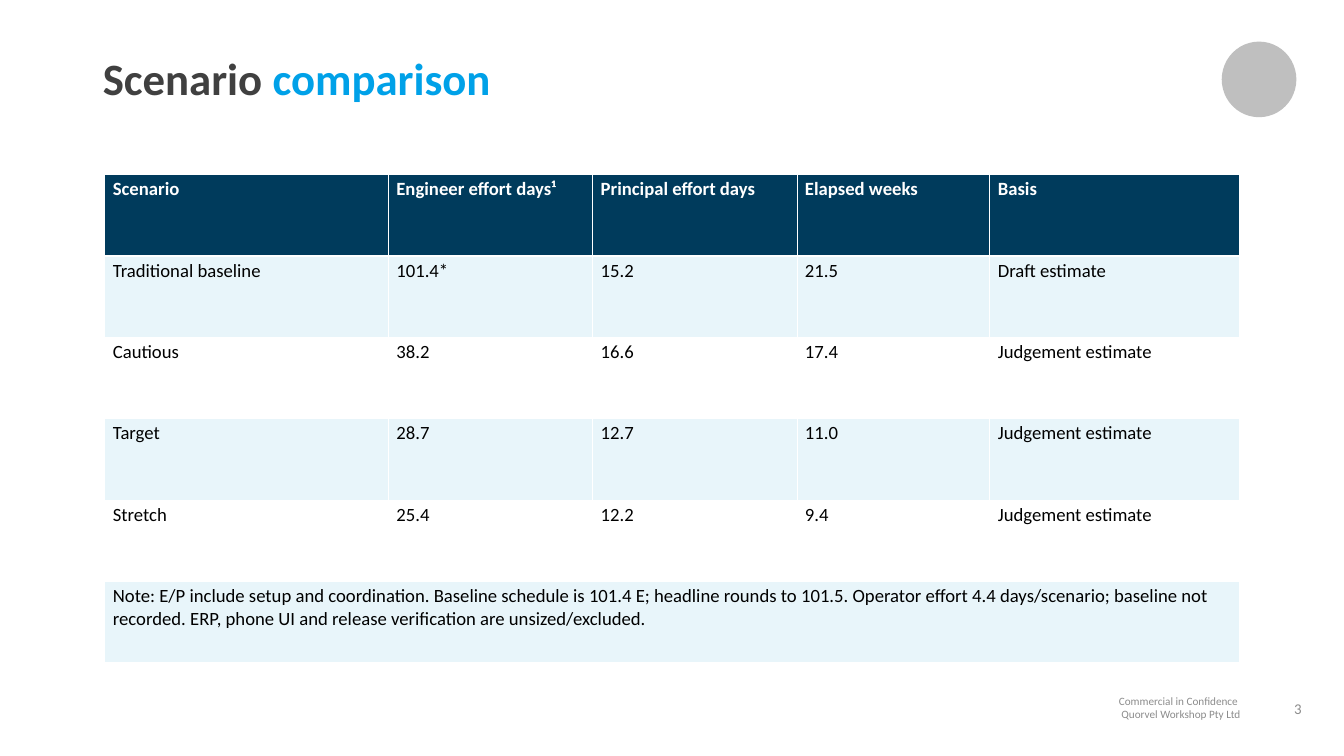
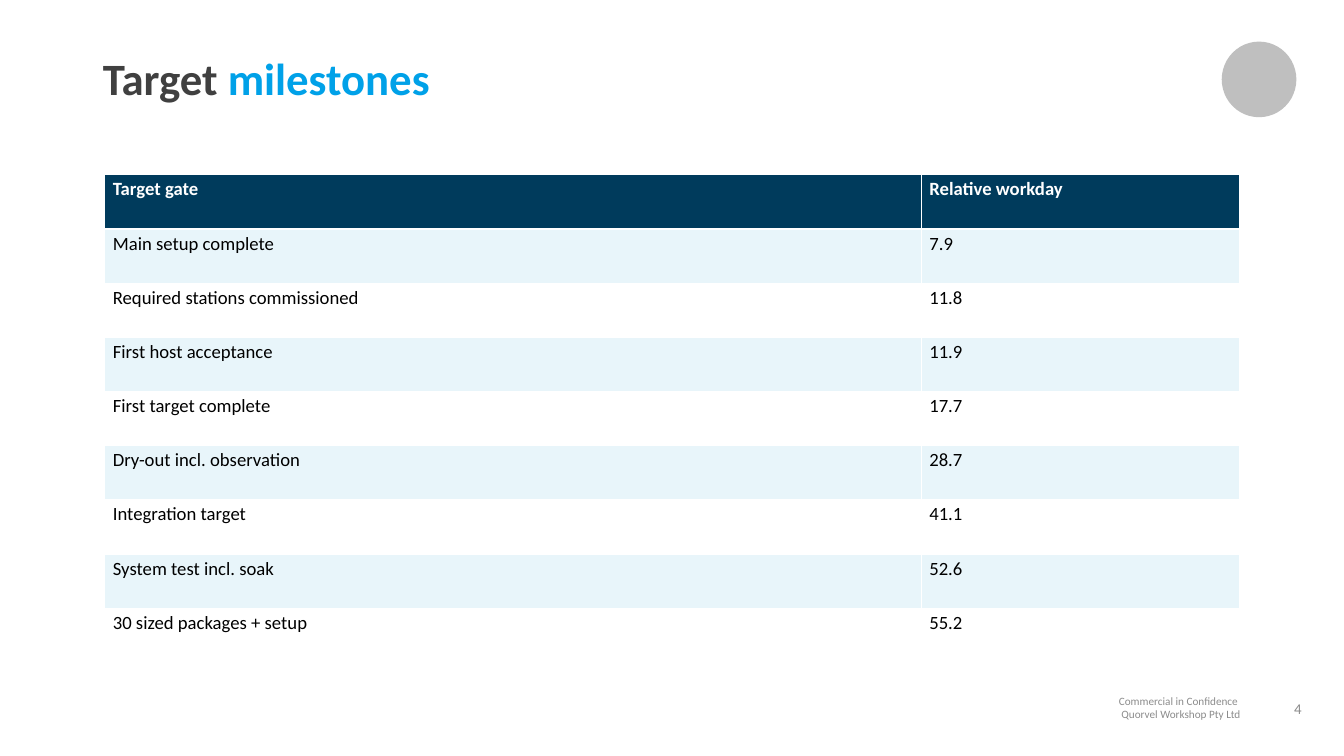
"""Build the scenario comparison and target milestones slides."""
from lxml.etree import SubElement
from pptx import Presentation
from pptx.dml.color import RGBColor
from pptx.enum.shapes import MSO_SHAPE
from pptx.enum.text import MSO_ANCHOR, PP_ALIGN
from pptx.oxml.ns import qn
from pptx.util import Pt

COLORS = {
    "title": "404040", "accent": "00A1E8", "header": "003B5C", "band": "E8F5FA",
    "white": "FFFFFF", "body": "000000", "footer": "8C8C8C", "badge": "BFBFBF",
}
FONT = "Calibri"
FOOTER = ["Commercial in Confidence ", "Quorvel Workshop Pty Ltd"]
TABLE_LEFT, TABLE_TOP, TABLE_HEIGHT = 112.3, 187.2, 522.7
FOOTER_TOP, FOOTER_HEIGHT = 742.3, 31.7
FOOTER_MARGINS = (10.8, 5)
CELL_MARGINS = (8.64, 3.6)

SLIDES = [
    {
        "number": 3,
        "title": ("Scenario ", "comparison"),
        "widths": [303.8, 218.9, 218.9, 206.6, 267.1],
        "rows": [
            ("Scenario", "Engineer effort days¹", "Principal effort days", "Elapsed weeks", "Basis"),
            ("Traditional baseline", "101.4*", "15.2", "21.5", "Draft estimate"),
            ("Cautious", "38.2", "16.6", "17.4", "Judgement estimate"),
            ("Target", "28.7", "12.7", "11.0", "Judgement estimate"),
            ("Stretch", "25.4", "12.2", "9.4", "Judgement estimate"),
            ("Note: E/P include setup and coordination. Baseline schedule is 101.4 E; "
             "headline rounds to 101.5. Operator effort 4.4 days/scenario; baseline not "
             "recorded. ERP, phone UI and release verification are unsized/excluded.",),
        ],
    },
    {
        "number": 4,
        "title": ("Target ", "milestones"),
        "widths": [874.8, 340.5],
        "rows": [
            ("Target gate", "Relative workday"),
            ("Main setup complete", "7.9"),
            ("Required stations commissioned", "11.8"),
            ("First host acceptance", "11.9"),
            ("First target complete", "17.7"),
            ("Dry-out incl. observation", "28.7"),
            ("Integration target", "41.1"),
            ("System test incl. soak", "52.6"),
            ("30 sized packages + setup", "55.2"),
        ],
    },
]


def rgb(name):
    return RGBColor.from_string(COLORS[name])


def add_run(paragraph, text, size, color, bold=False):
    run = paragraph.add_run()
    run.text = text
    run.font.name = FONT
    run.font.size = Pt(size)
    run.font.bold = bold
    run.font.color.rgb = rgb(color)


def set_margins(target, horizontal, vertical):
    target.margin_left = target.margin_right = Pt(horizontal)
    target.margin_top = target.margin_bottom = Pt(vertical)


def add_frame(slide, left, top, width, height, margins, anchor):
    frame = slide.shapes.add_textbox(Pt(left), Pt(top), Pt(width), Pt(height)).text_frame
    frame.word_wrap = True
    frame.vertical_anchor = anchor
    set_margins(frame, *margins)
    return frame


def add_footer_lines(slide, left, width, lines, size, anchor):
    frame = add_frame(slide, left, FOOTER_TOP, width, FOOTER_HEIGHT, FOOTER_MARGINS, anchor)
    for index, line in enumerate(lines):
        paragraph = frame.add_paragraph() if index else frame.paragraphs[0]
        paragraph.alignment = PP_ALIGN.RIGHT
        add_run(paragraph, line, size, "footer")


def add_furniture(slide, title, number):
    add_footer_lines(slide, 1139, 200.9, FOOTER, 12, MSO_ANCHOR.MIDDLE)
    badge = slide.shapes.add_shape(MSO_SHAPE.OVAL, Pt(1309), Pt(44.6), Pt(80), Pt(81))
    badge.shadow.inherit = False
    badge.fill.solid()
    badge.fill.fore_color.rgb = rgb("badge")
    badge.line.fill.background()
    add_footer_lines(slide, 1293.8, 111.6, [str(number)], 16, MSO_ANCHOR.BOTTOM)
    heading = add_frame(slide, 110.2, 56.9, 1188, 71.3, (0, 0), MSO_ANCHOR.TOP).paragraphs[0]
    heading.line_spacing = Pt(55)
    for text, color in zip(title, ("title", "accent")):
        add_run(heading, text, 48, color, True)


def set_borders(cell, row):
    properties = cell._tc.get_or_add_tcPr()
    weights = {"lnL": 1, "lnR": 1, "lnT": 3 if row == 1 else 1, "lnB": 3 if row == 0 else 1}
    for tag, weight in weights.items():
        border = SubElement(properties, qn(f"a:{tag}"), w=str(Pt(weight)))
        fill = SubElement(border, qn("a:solidFill"))
        SubElement(fill, qn("a:srgbClr"), val=COLORS["white"])


def add_banded_table(slide, rows, widths):
    table = slide.shapes.add_table(
        len(rows), len(widths), Pt(TABLE_LEFT), Pt(TABLE_TOP),
        Pt(sum(widths)), Pt(TABLE_HEIGHT)).table
    for column, width in zip(table.columns, widths):
        column.width = Pt(width)
    for row, texts in enumerate(rows):
        table.rows[row].height = Pt(TABLE_HEIGHT / len(rows))
        header = row == 0
        background = "header" if header else "band" if row % 2 else "white"
        for column in range(len(widths)):
            cell = table.cell(row, column)
            set_margins(cell, *CELL_MARGINS)
            set_borders(cell, row)
            cell.fill.solid()
            cell.fill.fore_color.rgb = rgb(background)
        for column, text in enumerate(texts):
            add_run(table.cell(row, column).text_frame.paragraphs[0], text, 20,
                    "white" if header else "body", header)
        if len(texts) == 1:
            table.cell(row, 0).merge(table.cell(row, len(widths) - 1))


def main():
    deck = Presentation()
    deck.slide_width, deck.slide_height = Pt(1440), Pt(810)
    for content in SLIDES:
        slide = deck.slides.add_slide(deck.slide_layouts[6])
        add_furniture(slide, content["title"], content["number"])
        add_banded_table(slide, content["rows"], content["widths"])
    deck.save("out.pptx")


if __name__ == "__main__":
    main()
